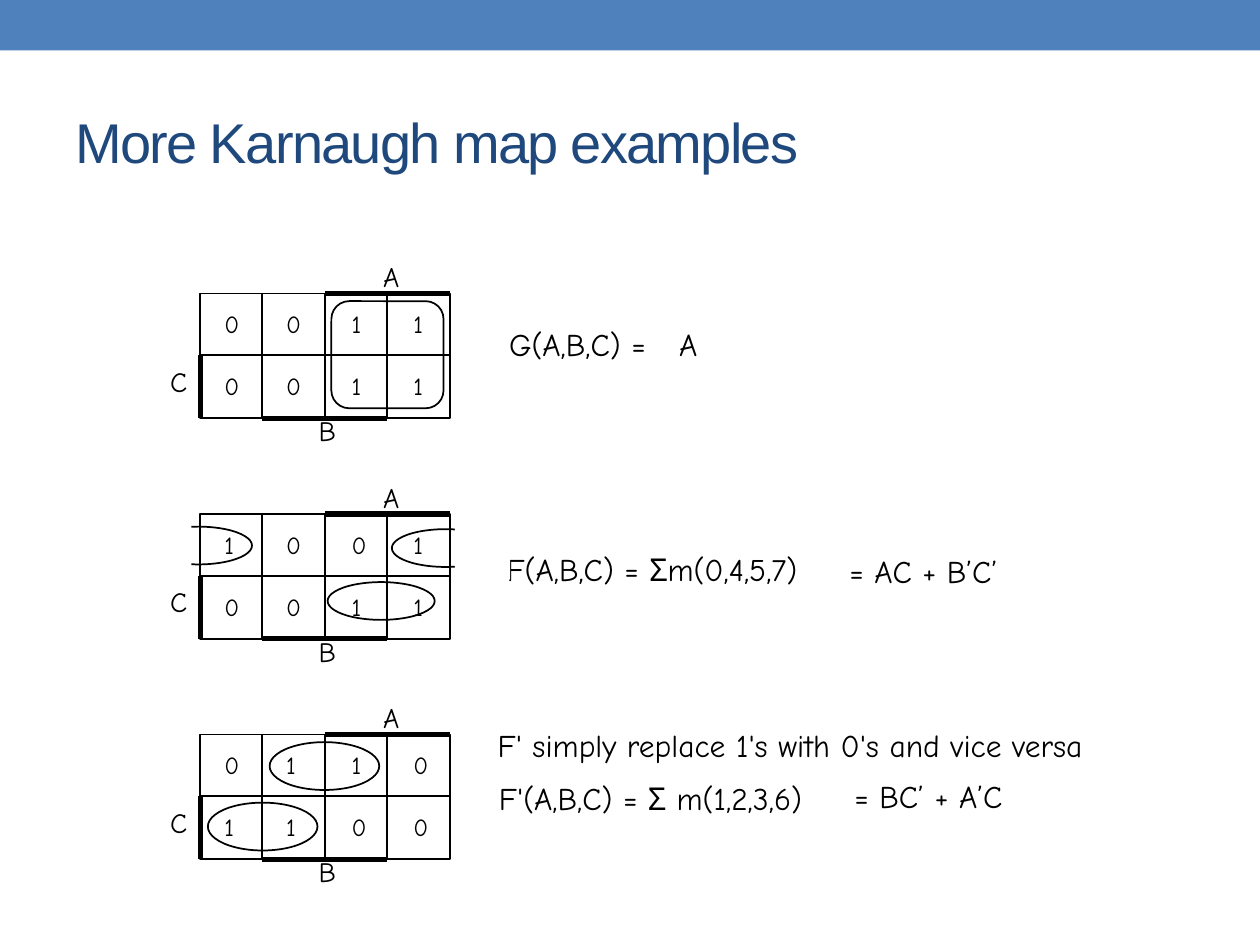
from dataclasses import dataclass

from lxml.etree import SubElement
from pptx import Presentation
from pptx.dml.color import RGBColor
from pptx.enum.shapes import MSO_CONNECTOR, MSO_SHAPE
from pptx.enum.text import MSO_ANCHOR
from pptx.oxml.ns import qn
from pptx.shapes.shapetree import SlideShapes
from pptx.util import Inches, Pt

BLACK = RGBColor(0x00, 0x00, 0x00)
WHITE = RGBColor(0xFF, 0xFF, 0xFF)
BLUE = RGBColor(0x4F, 0x81, 0xBD)
NAVY = RGBColor(0x1F, 0x49, 0x7D)
HAND = "Comic Neue"
LEFT, SIDE, HALF = 1.59, 0.99, 0.49
TABS = (0.49, 0.99, 1.48)
FRAME = {"margin_left": Inches(0.02), "margin_right": Inches(0.02),
         "margin_top": Inches(0.03), "margin_bottom": Inches(0.03),
         "word_wrap": False}


@dataclass
class Label:
    text: str
    x: float
    y: float
    w: float
    h: float
    size: float = 18
    lead: float = 20.8


@dataclass
class Map:
    top: float
    cells: tuple[str, str]


@dataclass
class Form:
    kind: MSO_SHAPE
    x: float
    y: float
    w: float
    h: float
    fill: RGBColor | None = None


NOTES = (
    Label("F(A,B,C) = Σm(0,4,5,7)", 4, 4.25, 3.45, 0.52, lead=27.6),
    Label("F'(A,B,C) = Σ m(1,2,3,6)", 3.94, 6.07, 3.45, 0.52, lead=27.6),
    Label("F' simply replace 1's with 0's and vice versa", 3.93, 5.74, 5.27, 0.42),
    Label("G(A,B,C) =", 4.02, 2.56, 1.6, 0.43),
)
SOLVED = (
    Label("A", 5.37, 2.56, 0.52, 0.42),
    Label("= AC + B’C’", 6.72, 4.36, 1.48, 0.32),
    Label("= BC’ + A’C", 6.76, 6.15, 1.52, 0.35),
)
MAPS = (
    Map(2.33, ("0\t0\n0\t0", "1\t1\n1\t1")),
    Map(4.08, ("1\t0\n0\t0", "0\t1\n1\t1")),
    Map(5.83, ("0\t1\n1\t1", "1\t0\n0\t0")),
)
LOOPS = (
    Form(MSO_SHAPE.ROUNDED_RECTANGLE, 2.63, 2.39, 0.89, 0.85),
    Form(MSO_SHAPE.OVAL, 2.6, 4.62, 0.85, 0.3),
    Form(MSO_SHAPE.OVAL, 3.11, 4.2, 0.85, 0.3),
    Form(MSO_SHAPE.OVAL, 1.15, 4.18, 0.85, 0.3),
    Form(MSO_SHAPE.RECTANGLE, 1.08, 4.08, 0.44, 0.49, WHITE),
    Form(MSO_SHAPE.RECTANGLE, 3.61, 4.11, 0.44, 0.49, WHITE),
    Form(MSO_SHAPE.OVAL, 2.14, 5.89, 0.87, 0.38),
    Form(MSO_SHAPE.OVAL, 1.65, 6.37, 0.87, 0.38),
)


def apply(target: object, values: dict) -> None:
    for name, value in values.items():
        setattr(target, name, value)


def add_label(shapes: SlideShapes, label: Label) -> None:
    box = shapes.add_textbox(*map(Inches, (label.x, label.y, label.w, label.h)))
    frame = box.text_frame
    apply(frame, FRAME)
    for row, text in enumerate(label.text.split("\n")):
        para = frame.add_paragraph() if row else frame.paragraphs[0]
        para.line_spacing = Pt(label.lead)
        if row:
            para.space_before = Pt(label.lead)
        if "\t" in text:
            stops = SubElement(para._p.get_or_add_pPr(), qn("a:tabLst"))
            for stop in TABS:
                SubElement(stops, qn("a:tab"), pos=str(Inches(stop)), algn="l")
        run = para.add_run()
        run.text = text
        apply(run.font, {"size": Pt(label.size), "name": HAND})
        run.font.color.rgb = BLACK


def add_form(shapes: SlideShapes, form: Form) -> None:
    shape = shapes.add_shape(form.kind, *map(Inches, (form.x, form.y, form.w, form.h)))
    shape.shadow.inherit = False
    if form.fill is None:
        shape.fill.background()
        shape.line.color.rgb = BLACK
        shape.line.width = Pt(1)
    else:
        shape.fill.solid()
        shape.fill.fore_color.rgb = form.fill
        shape.line.fill.background()


def add_line(shapes: SlideShapes, x: float, y: float, dx: float, dy: float,
             width: float) -> None:
    ends = map(Inches, (x, y, x + dx, y + dy))
    line = shapes.add_connector(MSO_CONNECTOR.STRAIGHT, *ends)
    line.line.color.rgb = BLACK
    line.line.width = Pt(width)
    SubElement(line._element.spPr, qn("a:effectLst"))


def add_map(shapes: SlideShapes, item: Map) -> None:
    top = item.top
    for x, text in zip((1.76, 2.77), item.cells):
        add_label(shapes, Label(text, x, top + 0.08, 0.89, 0.88, 14, 17.8))
    for x in (LEFT, LEFT + SIDE):
        add_form(shapes, Form(MSO_SHAPE.RECTANGLE, x, top, SIDE, SIDE))
        add_line(shapes, x + HALF, top, 0, SIDE, 1)
        add_line(shapes, x, top + HALF, SIDE, 0, 1)
    add_line(shapes, LEFT + SIDE, top, SIDE, 0, 3)
    add_line(shapes, LEFT + HALF, top + SIDE, SIDE, 0, 3)
    add_line(shapes, LEFT, top + HALF, 0, SIDE - HALF, 3)
    for name, x, dy in (("C", 1.33, 0.58), ("B", 2.51, 0.97), ("A", 3.02, -0.25)):
        add_label(shapes, Label(name, x, top + dy, 0.63, 0.36, 16, 15.8))


def add_title(shapes: SlideShapes, text: str) -> None:
    frame = shapes.add_textbox(*map(Inches, (0.5, 0.58, 9, 1.08))).text_frame
    apply(frame, {"word_wrap": True, "vertical_anchor": MSO_ANCHOR.MIDDLE})
    run = frame.paragraphs[0].add_run()
    run.text = text
    apply(run.font, {"size": Pt(32), "name": "Arial"})
    run.font.color.rgb = NAVY
    run._r.get_or_add_rPr().set("spc", "-100")


def main() -> None:
    """Build the slide of Karnaugh map examples."""
    deck = Presentation()
    apply(deck, {"slide_width": Inches(10), "slide_height": Inches(7.5)})
    shapes = deck.slides.add_slide(deck.slide_layouts[6]).shapes
    add_form(shapes, Form(MSO_SHAPE.RECTANGLE, 0, 0, 10, 0.4, BLUE))
    for note in NOTES:
        add_label(shapes, note)
    add_title(shapes, "More Karnaugh map examples")
    for item in MAPS:
        add_map(shapes, item)
    for label in SOLVED:
        add_label(shapes, label)
    for loop in LOOPS:
        add_form(shapes, loop)
    deck.save("out.pptx")


if __name__ == "__main__":
    main()
